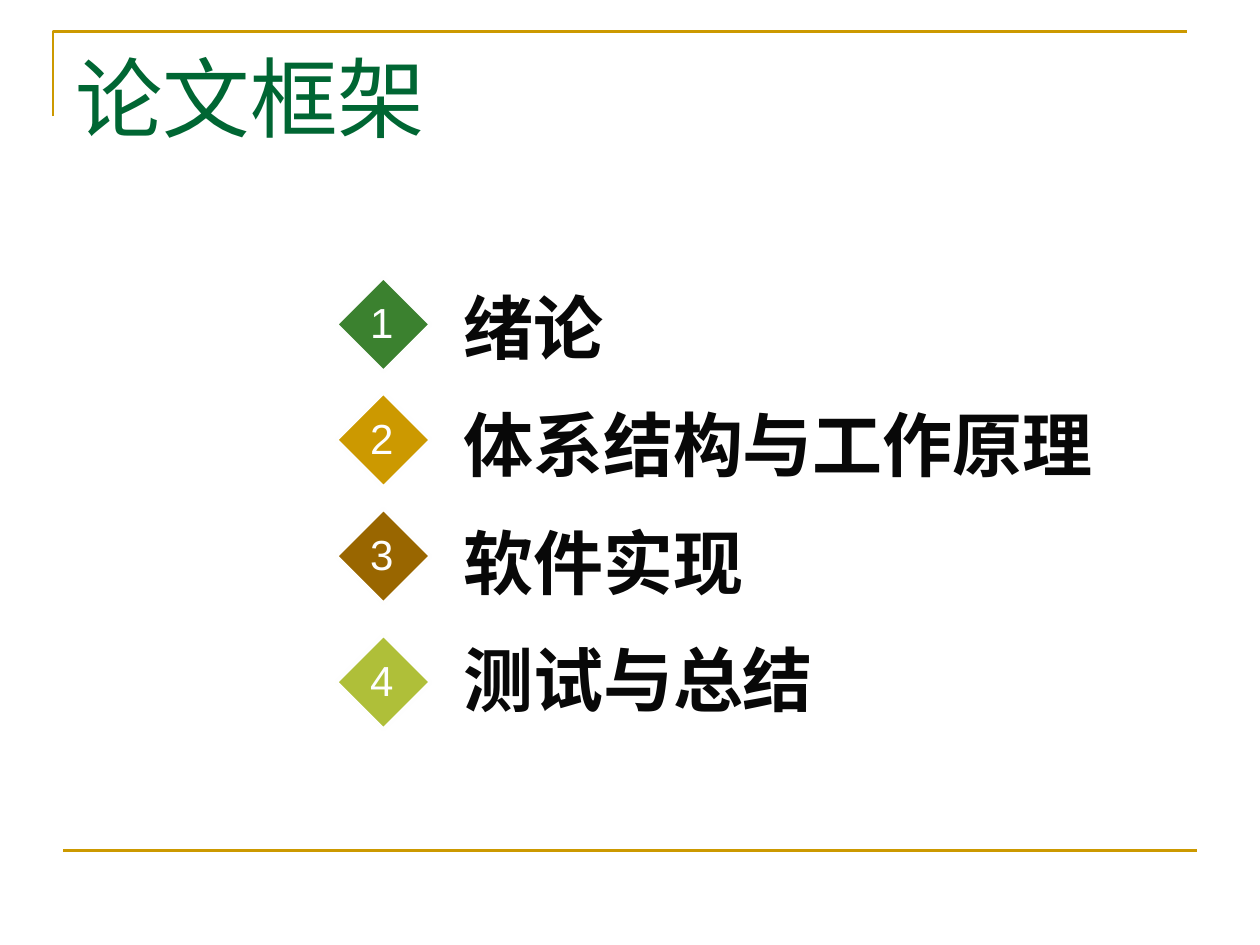
from lxml import etree
from pptx import Presentation
from pptx import util as u
from pptx.dml.color import RGBColor
from pptx.enum import shapes, text
from pptx.oxml.ns import qn

GOLD = "CC9900"
WHITE = "FEFEFE"
CHAPTERS = [
    ("绪论", "3B812F", 0),
    ("体系结构与工作原理", GOLD, 2.33),
    ("软件实现", "996600", 4.67),
    ("测试与总结", "AFBF39", 7.21),
]


def color(value):
    """Turn a hex string into a colour."""
    return RGBColor.from_string(value)


def style_line(line, value, width):
    """Set the colour and the width in points of a line."""
    line.color.rgb = color(value)
    line.width = u.Pt(width)


def add_text_box(slide, left, top, width, height, wrap=True):
    """Add an empty text box, measured in centimetres."""
    shape = slide.shapes.add_textbox(u.Cm(left), u.Cm(top), u.Cm(width), u.Cm(height))
    shape.text_frame.word_wrap = wrap
    shape.text_frame.vertical_anchor = text.MSO_ANCHOR.TOP
    return shape.text_frame


def add_run(paragraph, words, size, value, font="Times New Roman", bold=False):
    """Add one formatted run to a paragraph."""
    run = paragraph.add_run()
    run.text = words
    run.font.name = font
    run.font.size = u.Pt(size)
    run.font.bold = bold
    run.font.color.rgb = color(value)


def add_frame(slide, left, top, width, height):
    """Draw the corner at the top left and the rule at the bottom."""
    arm = 1.7
    builder = slide.shapes.build_freeform(u.Cm(left), u.Cm(top + arm))
    builder.add_line_segments(
        [(u.Cm(left), u.Cm(top)), (u.Cm(left + width), u.Cm(top))], close=False
    )
    corner = builder.convert_to_shape()
    corner.shadow.inherit = False
    corner.fill.background()
    style_line(corner.line, GOLD, 1.5)

    start, bottom = u.Cm(left + 0.2), u.Cm(top + height)
    rule = slide.shapes.add_connector(
        shapes.MSO_CONNECTOR.STRAIGHT, start, bottom, start + u.Cm(width), bottom
    )
    style_line(rule.line, GOLD, 1.5)
    etree.SubElement(rule._element.spPr, qn("a:effectLst"))


def add_title(slide, left, top, width, height):
    """Write the slide title."""
    frame = add_text_box(slide, left, top, width, height)
    add_run(frame.paragraphs[0], "论文框架", 50, "006633")


def add_marker(slide, left, top, number, fill):
    """Draw a numbered diamond."""
    side = u.Cm(1.9)
    diamond = slide.shapes.add_shape(
        shapes.MSO_SHAPE.DIAMOND, u.Cm(left), u.Cm(top), side, side
    )
    diamond.shadow.inherit = False
    diamond.fill.solid()
    diamond.fill.fore_color.rgb = color(fill)
    style_line(diamond.line, WHITE, 2)
    frame = add_text_box(slide, left + 0.43, top + 0.27, 0.96, 1.27, wrap=False)
    paragraph = frame.paragraphs[0]
    paragraph.alignment = text.PP_ALIGN.CENTER
    add_run(paragraph, str(number), 24, WHITE, "Arial")


def add_contents(slide, left, top, width, height):
    """List the chapters beside their numbered diamonds."""
    indent = 2.31
    frame = add_text_box(slide, left + indent, top, width - indent, height)
    for number, (name, fill, offset) in enumerate(CHAPTERS, 1):
        paragraph = frame.paragraphs[0] if number == 1 else frame.add_paragraph()
        paragraph.line_spacing = 1.4
        add_run(paragraph, name, 40, "080808", bold=True)
        add_marker(slide, left, top + 0.66 + offset, number, fill)


def main():
    """Build the slide and save it."""
    presentation = Presentation()
    presentation.slide_width = u.Cm(25.4)
    presentation.slide_height = u.Cm(19.05)
    slide = presentation.slides.add_slide(presentation.slide_layouts[6])
    add_frame(slide, 1.07, 0.64, 22.86, 16.51)
    add_title(slide, 1.27, 0.76, 22.86, 3.18)
    add_contents(slide, 6.78, 4.93, 17.55, 9.75)
    presentation.save("out.pptx")


if __name__ == "__main__":
    main()
